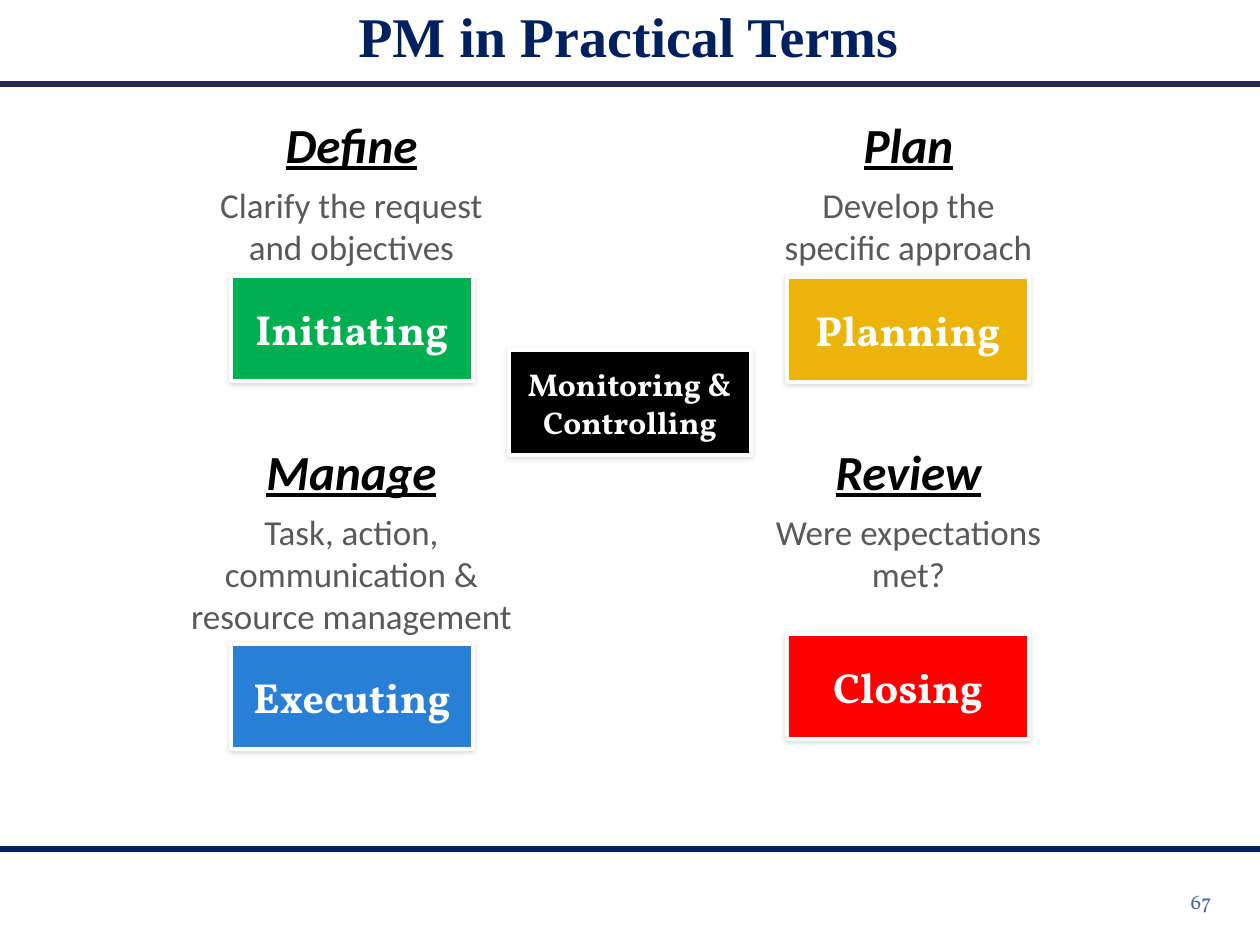
from lxml.etree import SubElement as Sub
from pptx import Presentation
from pptx.dml.color import RGBColor as RGB
from pptx.enum.shapes import MSO_CONNECTOR as Conn, MSO_SHAPE as Kind
from pptx.enum.text import MSO_ANCHOR as Anchor, MSO_AUTO_SIZE as Auto, PP_ALIGN as Align
from pptx.oxml.ns import qn
from pptx.util import Emu, Pt

SCALE = 914400 / 126
WIDE, HIGH = 1260, 945
COLORS = {
    "navy": "002060", "ink": "242852", "black": "000000", "gray": "595959",
    "white": "FFFFFF", "red": "FF0000", "blue": "297FD5", "gold": "ECB409",
    "green": "00B050", "page": "4A66AC",
}
TOPICS = [
    (630, 435, "Review", "Were expectations\nmet?", 168),
    (73, 435, "Manage", "Task, action,\ncommunication &\nresource management", 210),
    (73, 108, "Define", "Clarify the request\nand objectives", 168),
    (630, 108, "Plan", "Develop the\nspecific approach", 168),
]
STEPS = [
    (787, 634, "Closing", "red", 24),
    (509, 350, "Monitoring & Controlling", "black", 18),
    (231, 644, "Executing", "blue", 24),
    (787, 277, "Planning", "gold", 24),
    (231, 276, "Initiating", "green", 24),
]


def px(*vals):
    return [Emu(round(val * SCALE)) for val in vals]


def tint(name):
    return RGB.from_string(COLORS[name])


def style(para, size, face, color, align=Align.CENTER, **marks):
    para.alignment = align
    font = para.font
    font.size, font.name = Pt(size), face
    font.color.rgb = tint(color)
    for mark, state in marks.items():
        setattr(font, mark, state)


def add_rule(slide, y, color):
    rule = slide.shapes.add_connector(Conn.STRAIGHT, *px(0, y, WIDE, y))
    rule.line.color.rgb = tint(color)
    rule.line.width = Pt(3)
    Sub(rule.element.spPr, qn("a:effectLst"))


def add_text(slide, box, text, anchor=Anchor.TOP, auto=Auto.SHAPE_TO_FIT_TEXT):
    frame = slide.shapes.add_textbox(*px(*box)).text_frame
    frame.word_wrap = True
    frame.auto_size = auto
    frame.vertical_anchor = anchor
    para = frame.paragraphs[0]
    para.text = text
    return frame, para


def add_topic(slide, x, y, head, body, high):
    frame, top = add_text(slide, (x, y, 557, high), head)
    style(top, 28, "Calibri", "black", bold=True, italic=True, underline=True)
    low = frame.add_paragraph()
    low.text = body
    style(low, 20, "Calibri", "gray")
    for para in (top, low):
        para.space_after = Pt(6)


def add_shade(shape):
    shape.shadow.inherit = False
    glow = Sub(shape.element.spPr.find(qn("a:effectLst")), qn("a:outerShdw"),
               blurRad=str(Pt(3)), dist=str(Pt(1)), dir="5400000", rotWithShape="0")
    hue = Sub(glow, qn("a:srgbClr"), val=COLORS["black"])
    Sub(hue, qn("a:alpha"), val="15000")


def add_step(slide, x, y, text, color, size):
    step = slide.shapes.add_shape(Kind.FLOWCHART_PROCESS, *px(x, y, 242, 105))
    step.fill.solid()
    step.fill.fore_color.rgb = tint(color)
    step.line.color.rgb = tint("white")
    step.line.width = Pt(2)
    add_shade(step)
    frame = step.text_frame
    frame.word_wrap = True
    frame.vertical_anchor = Anchor.MIDDLE
    para = frame.paragraphs[0]
    para.text = text
    style(para, size, "Vollkorn", "white", bold=True)


def main():
    """Build the slide and save it."""
    deck = Presentation()
    deck.slide_width, deck.slide_height = px(WIDE, HIGH)
    slide = deck.slides.add_slide(deck.slide_layouts[6])
    add_rule(slide, 849, "navy")
    add_rule(slide, 84, "ink")
    for topic in TOPICS:
        add_topic(slide, *topic)
    for step in STEPS:
        add_step(slide, *step)
    _, title = add_text(slide, (181, 2, 895, 74), "PM in Practical Terms", Anchor.MIDDLE)
    style(title, 32, "Times New Roman", "navy", bold=True)
    title.line_spacing = 0.9
    _, page = add_text(slide, (941, 876, 283, 50), "67", Anchor.MIDDLE, Auto.NONE)
    style(page, 12, "Vollkorn", "page", Align.RIGHT)
    deck.save("out.pptx")


if __name__ == "__main__":
    main()
